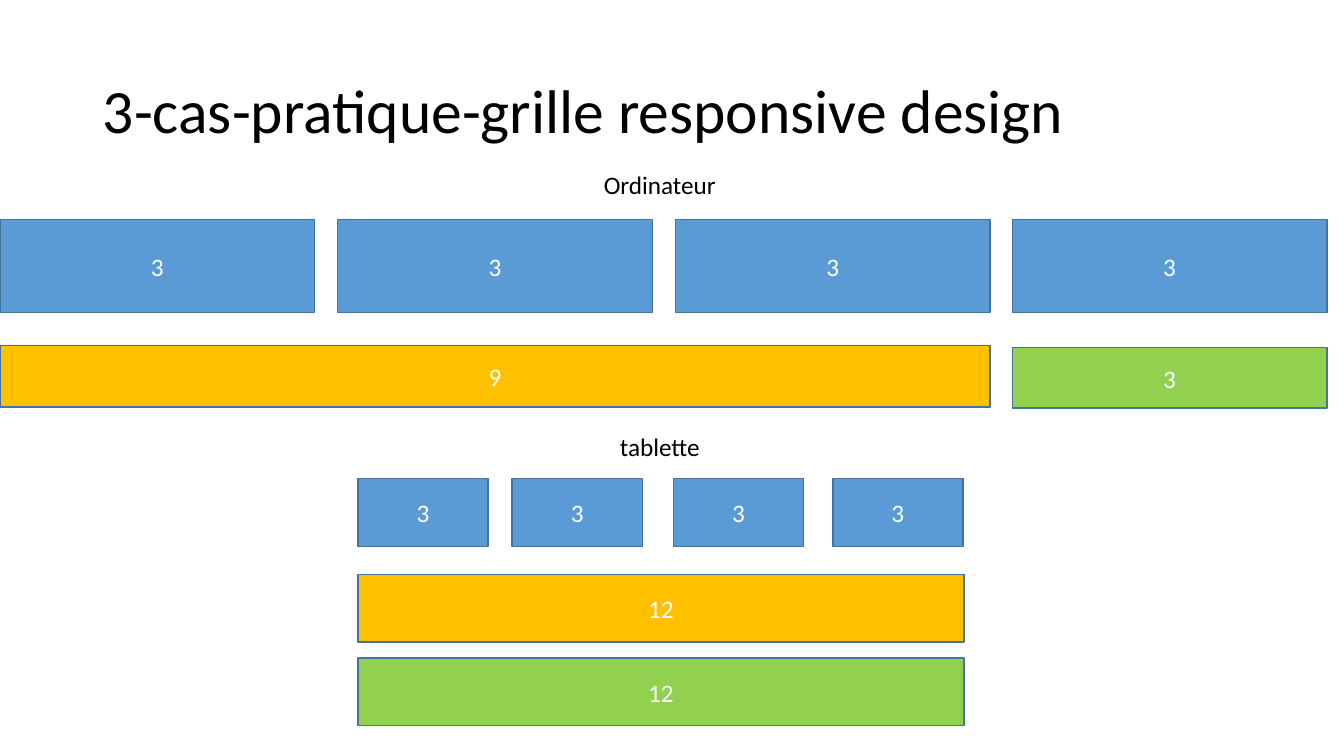
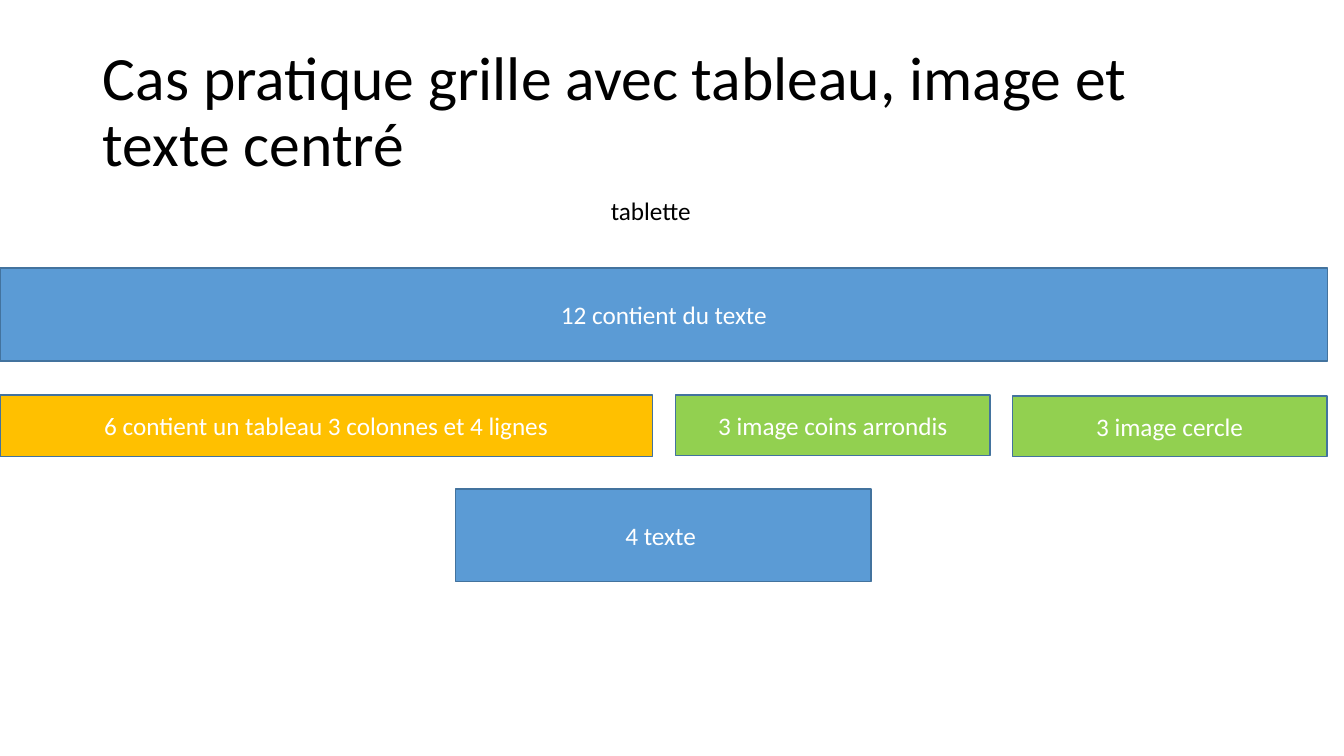
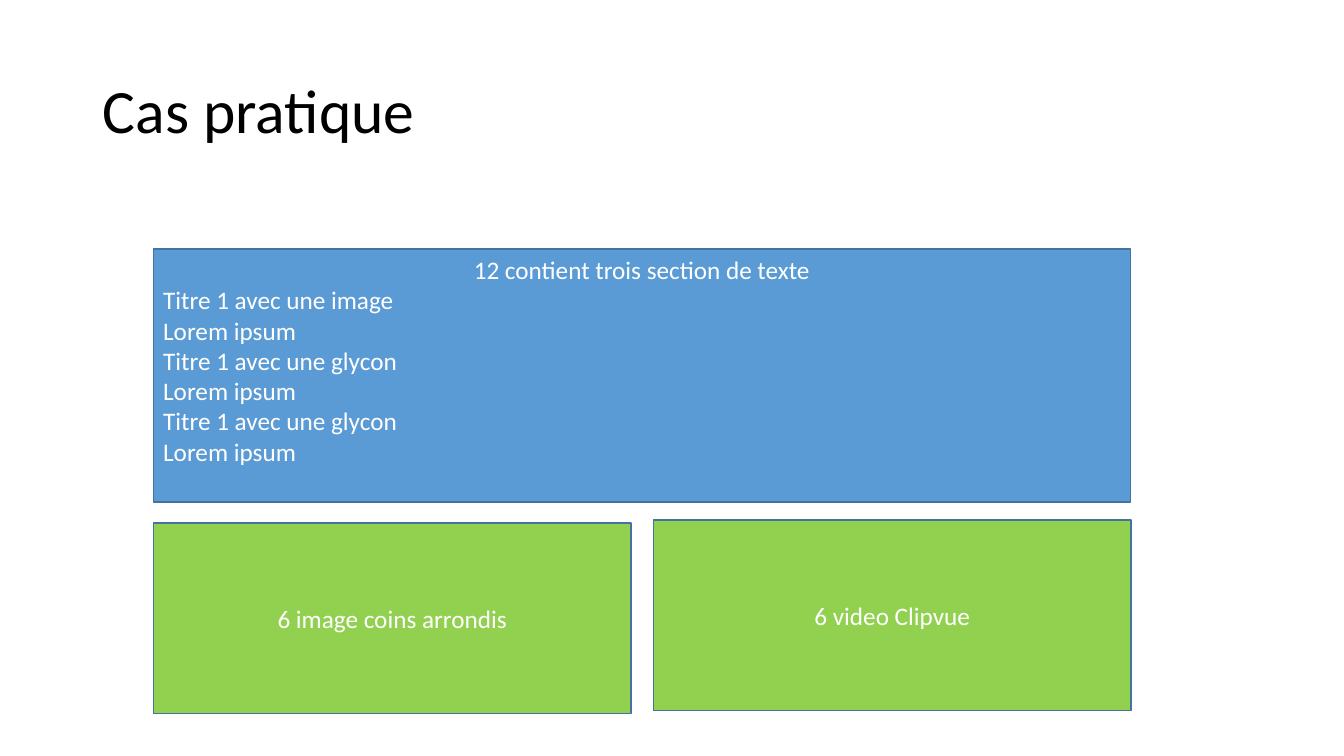
from dataclasses import dataclass

from pptx import Presentation
from pptx.dml.color import RGBColor
from pptx.enum.shapes import MSO_SHAPE
from pptx.enum.text import MSO_ANCHOR, MSO_AUTO_SIZE, PP_ALIGN
from pptx.util import Inches, Pt

RECTANGLE = MSO_SHAPE.RECTANGLE
MIDDLE = MSO_ANCHOR.MIDDLE
FIT_SHAPE = MSO_AUTO_SIZE.SHAPE_TO_FIT_TEXT
NO_FIT = MSO_AUTO_SIZE.NONE
LEFT, CENTER = PP_ALIGN.LEFT, PP_ALIGN.CENTER


@dataclass(frozen=True)
class Theme:
    font: str = "Calibri"
    title_size: int = 44
    body_size: int = 18
    black: str = "000000"
    white: str = "FFFFFF"
    blue: str = "5B9BD5"
    orange: str = "FFC000"
    green: str = "92D050"
    outline: str = "43739E"


theme = Theme()


def write(frame, text, *, size=theme.body_size, color=theme.black, align=LEFT, spacing=None):
    frame.text = text
    for paragraph in frame.paragraphs:
        paragraph.alignment = align
        paragraph.line_spacing = spacing
        for run in paragraph.runs:
            run.font.name = theme.font
            run.font.size = Pt(size)
            run.font.color.rgb = RGBColor.from_string(color)


def add_block(slide, text, left, top, width, height, fill):
    block = slide.shapes.add_shape(
        RECTANGLE, Inches(left), Inches(top), Inches(width), Inches(height))
    block.shadow.inherit = False
    block.fill.solid()
    block.fill.fore_color.rgb = RGBColor.from_string(fill)
    block.line.color.rgb = RGBColor.from_string(theme.outline)
    block.line.width = Pt(1)
    block.text_frame.word_wrap = True
    block.text_frame.vertical_anchor = MIDDLE
    write(block.text_frame, text, color=theme.white, align=CENTER)
    return block.text_frame


pitch, gap = 3.35, 0.23
quarter, half, three_quarters, full = [n * pitch - gap for n in range(1, 5)]
third_column, last_column = 2 * pitch, 10.04
tablet_left, tablet_width = 3.55, 6.01

computer_row = [("3", column * pitch, 2.18, quarter, 0.92, theme.blue) for column in range(3)]
tablet_row = [("3", left, 4.75, 1.29, 0.67, theme.blue)
              for left in (tablet_left, 5.08, 6.68, 8.26)]

sections = "\n".join([
    "12 contient trois section de texte",
    "Titre 1 avec une image", "Lorem ipsum",
    "Titre 1 avec une glycon", "Lorem ipsum",
    "Titre 1 avec une glycon", "Lorem ipsum",
])

pages = [
    ("3-cas-pratique-grille responsive design",
     [("Ordinateur", 5.89, 1.63, 1.32), ("tablette", 6.05, 4.23, 1.01)],
     computer_row + [
         ("3", last_column, 2.18, quarter, 0.92, theme.blue),
         ("9", 0, 3.43, three_quarters, 0.61, theme.orange),
         ("3", last_column, 3.45, quarter, 0.6, theme.green),
     ] + tablet_row + [
         ("12", tablet_left, 5.7, tablet_width, 0.67, theme.orange),
         ("12", tablet_left, 6.53, tablet_width, 0.67, theme.green),
     ]),
    ("Cas pratique grille avec tableau, image et texte centré",
     [("tablette", 5.96, 1.89, 1.01)],
     [
         ("12 contient du texte", 0, 2.66, full, 0.92, theme.blue),
         ("6 contient un tableau 3 colonnes et 4 lignes", 0, 3.92, half, 0.61, theme.orange),
         ("3 image coins arrondis", third_column, 3.92, quarter, 0.6, theme.green),
         ("3 image cercle", last_column, 3.93, quarter, 0.6, theme.green),
         ("4 texte ", 4.52, 4.85, 4.12, 0.92, theme.blue),
     ]),
    ("Cas pratique",
     [],
     [
         ("6 image coins arrondis", 1.52, 5.19, 4.74, 1.89, theme.green),
         ("6 video Clipvue", 6.48, 5.16, 4.74, 1.89, theme.green),
     ]),
]

deck = Presentation()
deck.slide_width, deck.slide_height = Inches(13.33), Inches(7.5)
title_only = deck.slide_layouts[5]
layout_title = title_only.placeholders[0]
layout_title.left, layout_title.top = Inches(0.92), Inches(0.4)
layout_title.width, layout_title.height = Inches(11.5), Inches(1.45)

for heading, labels, blocks in pages:
    slide = deck.slides.add_slide(title_only)
    title = slide.shapes.title.text_frame
    title.vertical_anchor = MIDDLE
    title.auto_size = NO_FIT
    write(title, heading, size=theme.title_size, spacing=0.9)
    for block in blocks:
        add_block(slide, *block)
    for device, left, top, width in labels:
        label = slide.shapes.add_textbox(
            Inches(left), Inches(top), Inches(width), Inches(0.4)).text_frame
        label.word_wrap = False
        label.auto_size = FIT_SHAPE
        write(label, device)

content = add_block(slide, sections, 1.52, 2.47, 9.69, 2.51, theme.blue)
content.margin_bottom = Inches(0.35)
for line in content.paragraphs[1:]:
    line.alignment = LEFT

deck.save("out.pptx")
